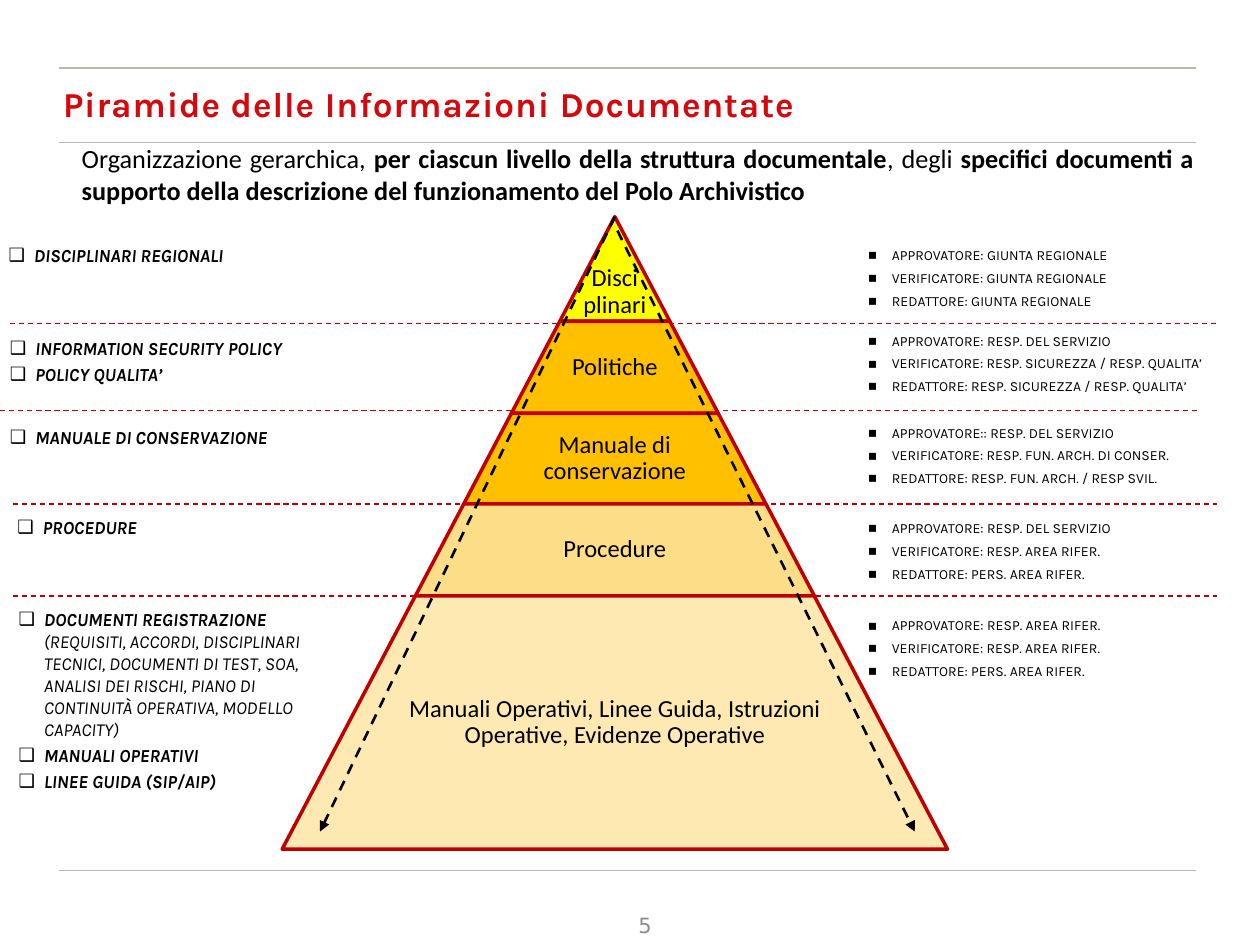
"""Builds the slide showing the pyramid of documented information."""
import pptx
import pptx.dml.color
import pptx.enum.dml
import pptx.enum.shapes
import pptx.enum.text
import pptx.oxml.ns
import pptx.util
from lxml import etree
from pptx.util import Inches

RGBColor = pptx.dml.color.RGBColor
Anchor = pptx.enum.text.MSO_ANCHOR
Align = pptx.enum.text.PP_ALIGN
BLACK = RGBColor(0x00, 0x00, 0x00)
RED = RGBColor(0xC0, 0x00, 0x00)
TITLE_RED = RGBColor(0xD4, 0x09, 0x0D)
RULE_GRAY = RGBColor(0xBE, 0xB6, 0xAD)
NUMBER_GRAY = RGBColor(0x8C, 0x8C, 0x8C)
YELLOW = RGBColor(0xFF, 0xFF, 0x00)
ORANGE = RGBColor(0xFF, 0xC0, 0x00)
SAND = RGBColor(0xFC, 0xDE, 0x88)
CREAM = RGBColor(0xFD, 0xE9, 0xB1)

presentation = pptx.Presentation()
presentation.slide_width = Inches(10)
presentation.slide_height = Inches(7.5)
slide = presentation.slides.add_slide(presentation.slide_layouts[6])
qn = pptx.oxml.ns.qn


def add_text(paragraphs, left, top, width, height, size, font="Karla", color=BLACK, italic=False,
             align=Align.LEFT, anchor=Anchor.TOP, insets=(0.1, 0.05), line_spacing=None,
             bullet=None, indent=0, hanging=0, tracking=None):
    """Add a text box; each paragraph is a list of (text, bold) runs."""
    frame = slide.shapes.add_textbox(Inches(left), Inches(top), Inches(width), Inches(height)).text_frame
    frame.word_wrap = True
    frame.vertical_anchor = anchor
    frame.margin_left = frame.margin_right = Inches(insets[0])
    frame.margin_top = frame.margin_bottom = Inches(insets[1])
    for index, runs in enumerate(paragraphs):
        paragraph = frame.add_paragraph() if index else frame.paragraphs[0]
        if bullet:
            properties = paragraph._p.get_or_add_pPr()
            properties.set("marL", str(Inches(indent)))
            properties.set("indent", str(-Inches(hanging)))
            etree.SubElement(properties, qn("a:buFont")).set("typeface", "DejaVu Sans")
            etree.SubElement(properties, qn("a:buChar")).set("char", bullet)
        paragraph.alignment = align
        if line_spacing:
            paragraph.line_spacing = line_spacing
        if index:
            paragraph.space_before = pptx.util.Pt(size * 0.2)
        for text, bold in runs:
            for part, line in enumerate(text.split("\n")):
                if part:
                    paragraph.add_line_break()
                run = paragraph.add_run()
                run.text = line
                run.font.name = font
                run.font.size = pptx.util.Pt(size)
                run.font.bold = bold
                run.font.italic = italic
                run.font.color.rgb = color
                if tracking:
                    run._r.get_or_add_rPr().set("spc", str(tracking))


def add_line(start, end, color, width=0.75, dashed=False, arrow=False):
    connector = slide.shapes.add_connector(
        pptx.enum.shapes.MSO_CONNECTOR.STRAIGHT, *map(Inches, start + end))
    connector.line.color.rgb = color
    connector.line.width = pptx.util.Pt(width)
    if dashed:
        connector.line.dash_style = pptx.enum.dml.MSO_LINE.DASH
    if arrow:
        etree.SubElement(connector.line._get_or_add_ln(), qn("a:tailEnd")).set("type", "triangle")
    etree.SubElement(connector._element.spPr, qn("a:effectLst"))


for y in (0.54, 1.13, 6.91):
    add_line((9.49, y), (0.47, y), RULE_GRAY)

add_text([[("Piramide delle Informazioni Documentate", True)]], 0.5, 0.54, 9.01, 0.59, 20,
         color=TITLE_RED, anchor=Anchor.MIDDLE, insets=(0, 0),
         line_spacing=pptx.util.Pt(22), tracking=50)
add_text([[("5", False)]], 4.72, 7.14, 0.55, 0.4, 12, font="DejaVu Sans", color=NUMBER_GRAY,
         align=Align.RIGHT, anchor=Anchor.MIDDLE)
add_text([[("Organizzazione gerarchica, ", False),
           ("per ciascun livello della struttura documentale", True),
           (", degli ", False),
           ("specifici documenti a supporto della descrizione del funzionamento del Polo Archivistico", True)]],
         0.55, 1.08, 9.02, 0.61, 15, font="Calibri", align=Align.JUSTIFY)

for left, right, y in ((0.08, 9.65, 2.57), (-0.07, 9.5, 3.26), (0.1, 9.66, 4), (0.1, 9.66, 4.73)):
    add_line((left, y), (right, y), RED, dashed=True)

document_lists = [
    (-0.03, 1.89, 4.41, 0.31, [[("DISCIPLINARI REGIONALI", True)]]),
    (-0.02, 2.63, 4.41, 0.53, [[("INFORMATION SECURITY POLICY", True)], [("POLICY QUALITA’", True)]]),
    (-0.02, 3.33, 4.41, 0.32, [[("MANUALE DI CONSERVAZIONE", True)]]),
    (0.04, 4.05, 1.92, 0.28, [[("PROCEDURE", True)]]),
    (0.05, 4.78, 2.64, 1.69, [
        [("DOCUMENTI REGISTRAZIONE ", True),
         ("(REQUISITI, ACCORDI, DISCIPLINARI TECNICI, DOCUMENTI DI TEST, SOA, ANALISI DEI RISCHI, "
          "PIANO DI CONTINUITÀ OPERATIVA, MODELLO CAPACITY)", False)],
        [("MANUALI OPERATIVI", True)],
        [("LINEE GUIDA (SIP/AIP)", True)]]),
]
for left, top, width, height, paragraphs in document_lists:
    add_text(paragraphs, left, top, width, height, 10.5, italic=True,
             bullet="❑", indent=0.2, hanging=0.2)

role_lists = [
    (1.88, ": GIUNTA REGIONALE", "GIUNTA REGIONALE", "GIUNTA REGIONALE"),
    (2.56, ": RESP. DEL SERVIZIO", "RESP. SICUREZZA / RESP. QUALITA’", "RESP. SICUREZZA / RESP. QUALITA’"),
    (3.29, ":: RESP. DEL SERVIZIO", "RESP. FUN. ARCH. DI CONSER.", "RESP. FUN. ARCH. / RESP SVIL."),
    (4.05, ": RESP. DEL SERVIZIO", "RESP. AREA RIFER.", "PERS. AREA RIFER."),
    (4.82, ": RESP. AREA RIFER.", "RESP. AREA RIFER.", "PERS. AREA RIFER."),
]
for top, approver, verifier, editor in role_lists:
    roles = (f"APPROVATORE{approver}", f"VERIFICATORE: {verifier}", f"REDATTORE: {editor}")
    add_text([[(role, False)] for role in roles], 6.7, top, 3.27, 0.6, 8, align=Align.JUSTIFY,
             line_spacing=1.2, bullet="▪", indent=0.28, hanging=0.19)

APEX_X, APEX_Y, SLOPE = 4.88, 1.72, 0.526
tiers = [
    (2.55, YELLOW, "Disci\nplinari", 1, Anchor.BOTTOM),
    (3.28, ORANGE, "Politiche", 0.65, Anchor.MIDDLE),
    (4, ORANGE, "Manuale di conservazione", 0.65, Anchor.MIDDLE),
    (4.73, SAND, "Procedure", 0.65, Anchor.MIDDLE),
    (6.74, CREAM, "Manuali Operativi, Linee Guida, Istruzioni Operative, Evidenze Operative", 0.65,
     Anchor.MIDDLE),
]
top = APEX_Y
for bottom, fill, label, text_share, anchor in tiers:
    width, height = 2 * SLOPE * (bottom - APEX_Y), bottom - top
    shape = slide.shapes.add_shape(
        pptx.enum.shapes.MSO_SHAPE.TRAPEZOID,
        Inches(APEX_X - width / 2), Inches(top), Inches(width), Inches(height))
    shape.adjustments[0] = SLOPE
    shape.shadow.inherit = False
    shape.fill.solid()
    shape.fill.fore_color.rgb = fill
    shape.line.color.rgb = RED
    shape.line.width = pptx.util.Pt(2)
    text_width = width * text_share
    add_text([[(label, False)]], APEX_X - text_width / 2, top, text_width, height, 14, font="Calibri",
             align=Align.CENTER, anchor=anchor, insets=(0.02, 0.02), line_spacing=0.9)
    top = bottom

for start, end in (((4.88, 1.72), (2.54, 6.6)), ((4.9, 1.83), (7.26, 6.6))):
    add_line(start, end, BLACK, width=1.5, dashed=True, arrow=True)

presentation.save("out.pptx")
